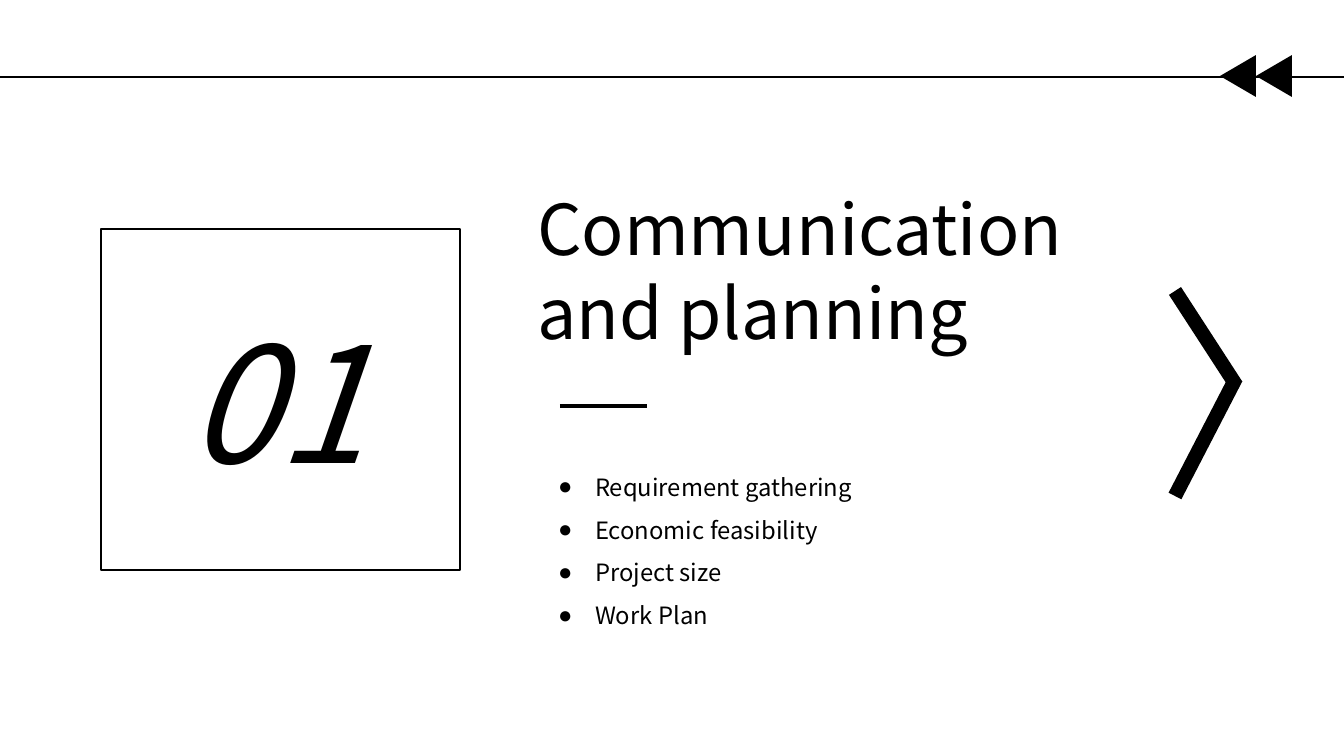
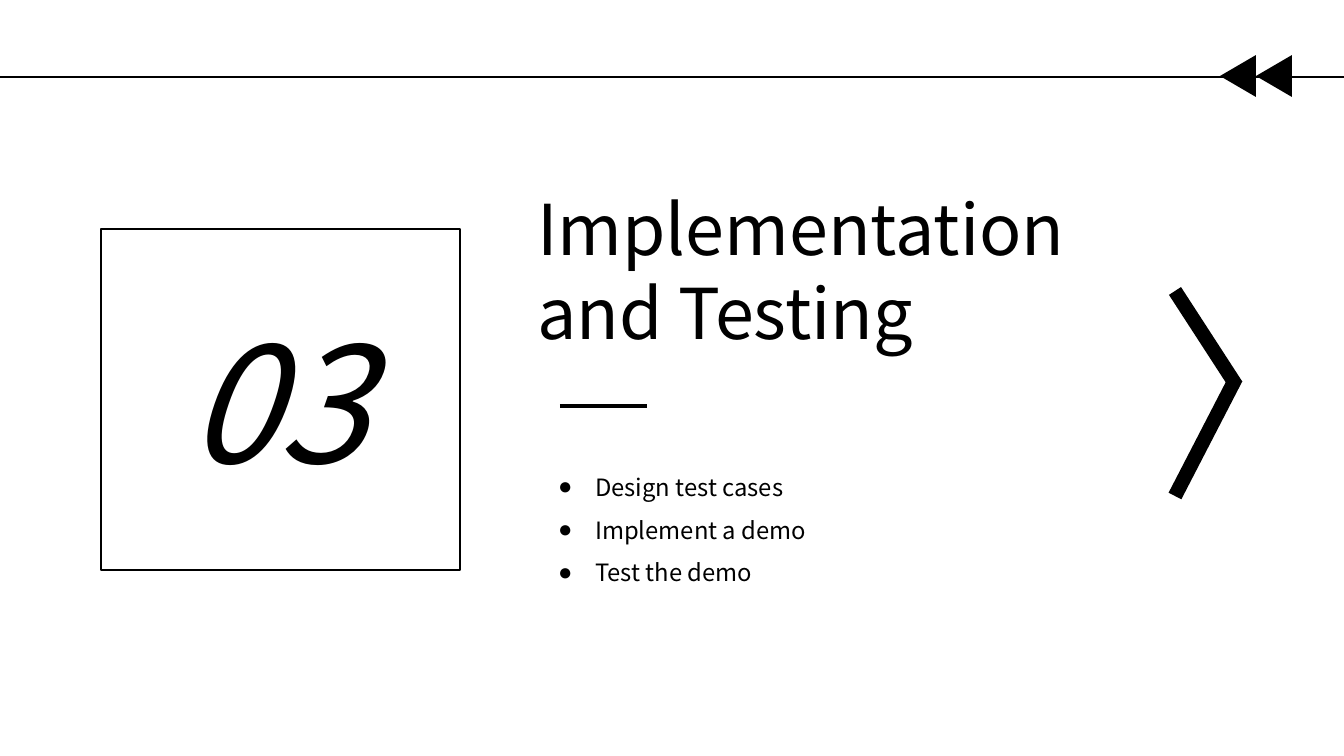
from lxml import etree
from pptx import Presentation, util as u
from pptx.dml import color
from pptx.enum import shapes, text
from pptx.oxml import ns

SLIDE_W, SLIDE_H = 1344, 756
EMU_PER_PX = 914400 / 100.8

SECTIONS = [
    ("01", "Communication and planning",
     ["Requirement gathering", "Economic feasibility", "Project size", "Work Plan"]),
    ("03", "Implementation and Testing",
     ["Design test cases", "Implement a demo", "Test the demo"]),
]


def px(*lengths):
    """Turn px lengths into EMU."""
    return [u.Emu(round(length * EMU_PER_PX)) for length in lengths]


def rgb(hex_code):
    return color.RGBColor.from_string(hex_code)


class SectionDeck:
    """The deck's style, together with the slide being built."""

    INK, PAPER = "000000", "FFFFFF"
    FONT = "Noto Sans CJK SC"
    LINE_HEIGHT = 1.2
    BULLET_ROW = 42

    def __init__(self):
        self.deck = Presentation()
        self.deck.slide_width, self.deck.slide_height = px(SLIDE_W, SLIDE_H)
        self.slide = None

    def new_slide(self):
        self.slide = self.deck.slides.add_slide(self.deck.slide_layouts[1])
        fill = self.slide.background.fill
        fill.solid()
        fill.fore_color.rgb = rgb(self.PAPER)

    def place(self, holder, left, top, width, height):
        holder.left, holder.top, holder.width, holder.height = px(left, top, width, height)

    def set_text(self, holder, content, size, leading=1.0, italic=False):
        frame = holder.text_frame
        frame.text = content
        frame.word_wrap = True
        frame.auto_size = text.MSO_AUTO_SIZE.NONE
        frame.vertical_anchor = text.MSO_ANCHOR.TOP
        for paragraph in frame.paragraphs:
            paragraph.alignment = text.PP_ALIGN.LEFT
            paragraph.line_spacing = u.Pt(round(size * self.LINE_HEIGHT * leading, 1))
            paragraph.space_before = u.Pt(0)
            for run in paragraph.runs:
                run.font.name = self.FONT
                run.font.size = u.Pt(size)
                run.font.italic = italic
                run.font.color.rgb = rgb(self.INK)

    def line(self, x1, y1, x2, y2, weight):
        stroke = self.slide.shapes.add_connector(
            shapes.MSO_CONNECTOR.STRAIGHT, *px(x1, y1, x2, y2))
        stroke.line.color.rgb = rgb(self.INK)
        stroke.line.width = u.Pt(weight)
        etree.SubElement(stroke._element.spPr, ns.qn("a:effectLst"))

    def shape(self, kind, left, top, width, height, fill, outline=None, rotation=0):
        item = self.slide.shapes.add_shape(kind, *px(left, top, width, height))
        item.shadow.inherit = False
        item.rotation = rotation
        item.fill.solid()
        item.fill.fore_color.rgb = rgb(fill)
        if outline:
            item.line.color.rgb = rgb(self.INK)
            item.line.width = u.Pt(outline)
        else:
            item.line.fill.background()

    def title(self, heading):
        holder = self.slide.shapes.title
        self.place(holder, 527, 180, 581, 251)
        self.set_text(holder, heading, 50)

    def bullets(self, topics):
        holder = self.slide.placeholders[1]
        self.place(holder, 535, 453, 616, self.BULLET_ROW * len(topics))
        self.set_text(holder, "\n".join(topics), 17, leading=1.5)
        margin, indent = px(50, -37)
        for paragraph in holder.text_frame.paragraphs:
            props = paragraph._p.get_or_add_pPr()
            props.set("marL", str(margin))
            props.set("indent", str(indent))
            tint = etree.SubElement(props, ns.qn("a:buClr"))
            etree.SubElement(tint, ns.qn("a:srgbClr"), val=self.INK)
            etree.SubElement(props, ns.qn("a:buChar"), char="●")

    def header(self):
        self.line(0, 77, SLIDE_W, 77, 0.75)
        for left in (1253, 1217):
            self.shape(shapes.MSO_SHAPE.ISOSCELES_TRIANGLE, left, 58, 42, 36,
                       self.INK, rotation=270)

    def number_box(self, number):
        self.shape(shapes.MSO_SHAPE.RECTANGLE, 101, 229, 359, 341, self.PAPER, outline=1)
        numeral = self.slide.shapes.add_textbox(*px(177, 298, 240, 206))
        self.set_text(numeral, number, 115, italic=True)

    def chevron(self):
        self.line(1175, 291, 1236, 385, 10.25)
        self.line(1236, 378, 1175, 496, 10.25)

    def section(self, number, heading, topics):
        self.new_slide()
        self.header()
        self.number_box(number)
        self.title(heading)
        self.bullets(topics)
        self.chevron()
        self.line(560, 406, 647, 406, 2.25)


def main():
    sections = SectionDeck()
    for number, heading, topics in SECTIONS:
        sections.section(number, heading, topics)
    sections.deck.save("out.pptx")


if __name__ == "__main__":
    main()
